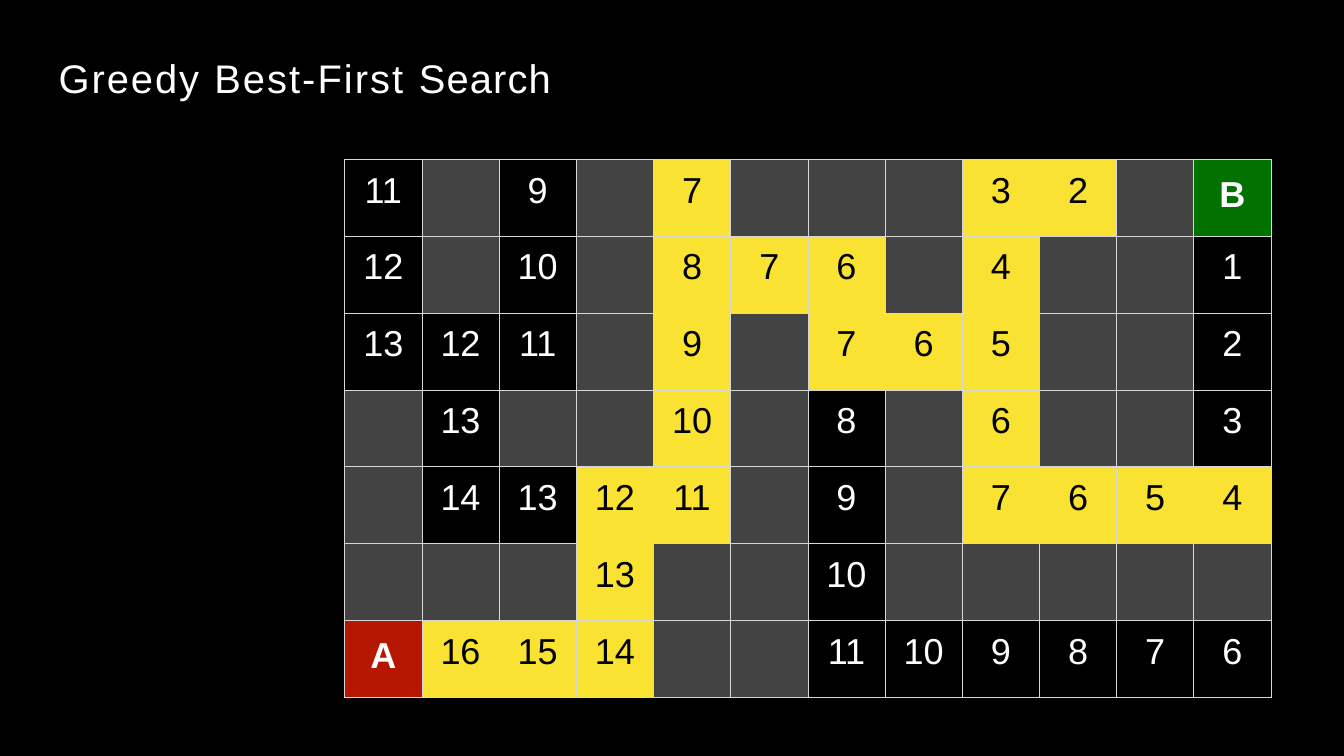
"""Build the Greedy Best-First Search maze slide."""
from lxml.etree import SubElement
from pptx import Presentation
from pptx.dml.color import RGBColor
from pptx.enum.text import MSO_ANCHOR, MSO_AUTO_SIZE, PP_ALIGN
from pptx.oxml.ns import qn
from pptx.util import Inches, Pt

MAZE = """
11  #   9   #   7*  #   #   #   3*  2*  #   B
12  #   10  #   8*  7*  6*  #   4*  #   #   1
13  12  11  #   9*  #   7*  6*  5*  #   #   2
#   13  #   #   10* #   8   #   6*  #   #   3
#   14  13  12* 11* #   9   #   7*  6*  5*  4*
#   #   #   13* #   #   10  #   #   #   #   #
A   16* 15* 14* #   #   11  10  9   8   7   6
"""
WALL, OPEN, PATH = "434343", "000000", "FAE232"
ENDS = {"A": "B51700", "B": "017100"}
WHITE, BLACK, LINE = "FFFFFF", "000000", "D6D7D6"


def rgb(value):
    return RGBColor.from_string(value)


def add_run(p, text, size, color, spacing=0, bold=False):
    r = p.add_run()
    r.text = text
    r.font.name = "Arial"
    r.font.size = Pt(size)
    r.font.bold = bold
    r.font.color.rgb = rgb(color)
    r.font._element.set("spc", str(round(spacing * 100)))


prs = Presentation()
prs.slide_width, prs.slide_height = Inches(21.99), Inches(12.37)
s = prs.slides.add_slide(prs.slide_layouts[5])
s.background.fill.solid()
s.background.fill.fore_color.rgb = rgb(BLACK)

title = s.shapes.title
title.left, title.top = Inches(0.96), Inches(0.86)
title.width, title.height = Inches(8.07), Inches(0.81)
tf = title.text_frame
tf.auto_size = MSO_AUTO_SIZE.NONE
tf.vertical_anchor = MSO_ANCHOR.TOP
tf.margin_left = tf.margin_right = tf.margin_bottom = 0
tf.margin_top = Inches(0.01)
p = tf.paragraphs[0]
p.alignment = PP_ALIGN.LEFT
for text, spacing in (("Greedy ", 2.3), ("Best-First ", 2.4), ("Search", 1.4)):
    add_run(p, text, 47, WHITE, spacing)

maze = [line.split() for line in MAZE.strip().splitlines()]
table = s.shapes.add_table(len(maze), len(maze[0]), Inches(5.64), Inches(2.61),
                           Inches(15.16), Inches(8.8)).table
table.first_row = table.horz_banding = False

for row, marks in enumerate(maze):
    for col, mark in enumerate(marks):
        cell = table.cell(row, col)
        on_path = mark.endswith("*")
        is_end = mark in ENDS
        tcPr = cell._tc.get_or_add_tcPr()
        for side in ("a:lnL", "a:lnR", "a:lnT", "a:lnB"):
            ln = SubElement(tcPr, qn(side), w=str(Pt(1)))
            fill = SubElement(ln, qn("a:solidFill"))
            SubElement(fill, qn("a:srgbClr"), val=LINE)
        cell.fill.solid()
        cell.fill.fore_color.rgb = rgb(
            WALL if mark == "#" else PATH if on_path else ENDS.get(mark, OPEN))
        cell.margin_left = cell.margin_right = cell.margin_bottom = 0
        cell.margin_top = Inches(0.26 if is_end else 0.18)
        if mark != "#":
            p = cell.text_frame.paragraphs[0]
            p.alignment = PP_ALIGN.CENTER
            label = mark.rstrip("*")
            add_run(p, label, 42.5, BLACK if on_path else WHITE,
                    -0.1 if len(label) == 2 else 0, is_end)

prs.save("out.pptx")
